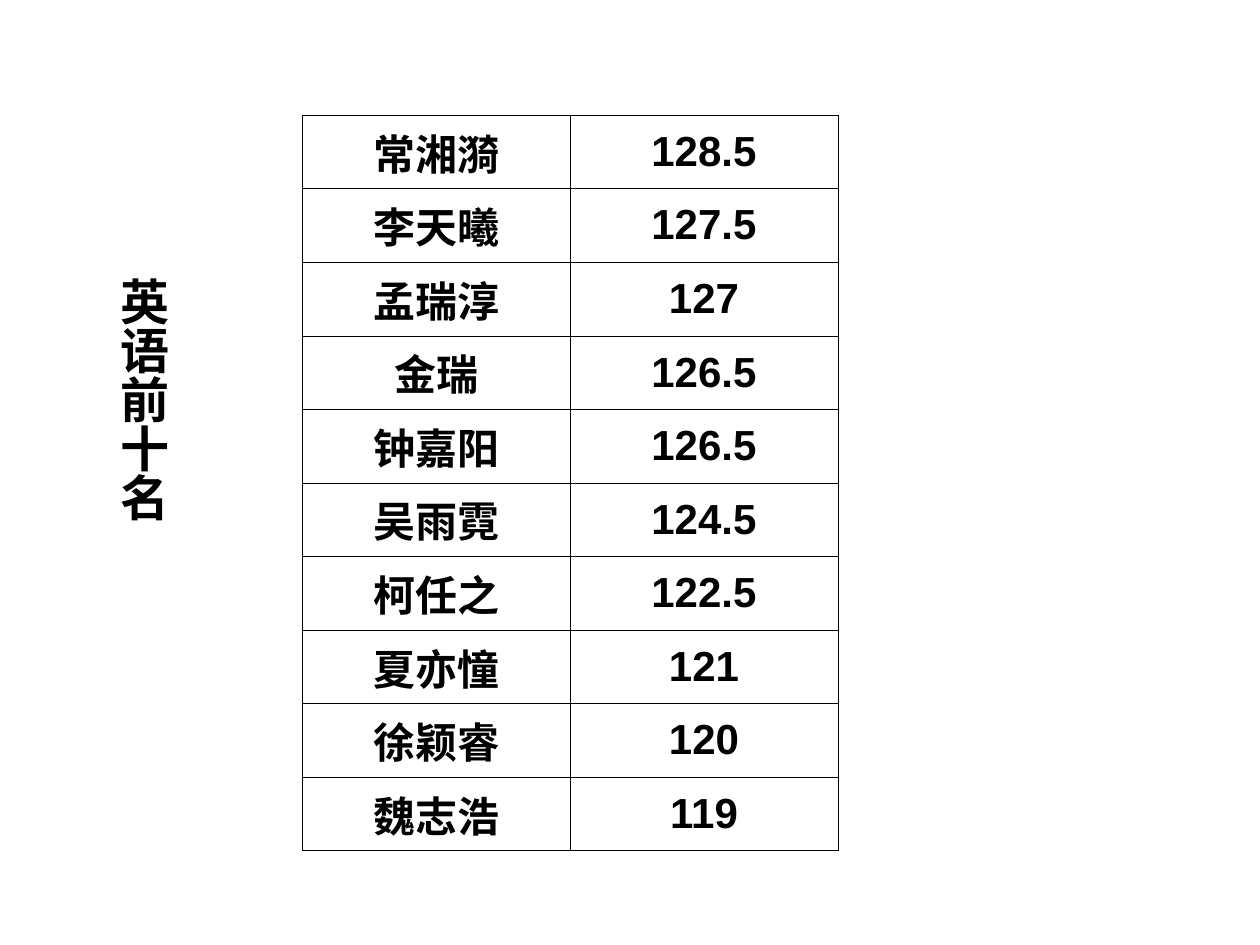
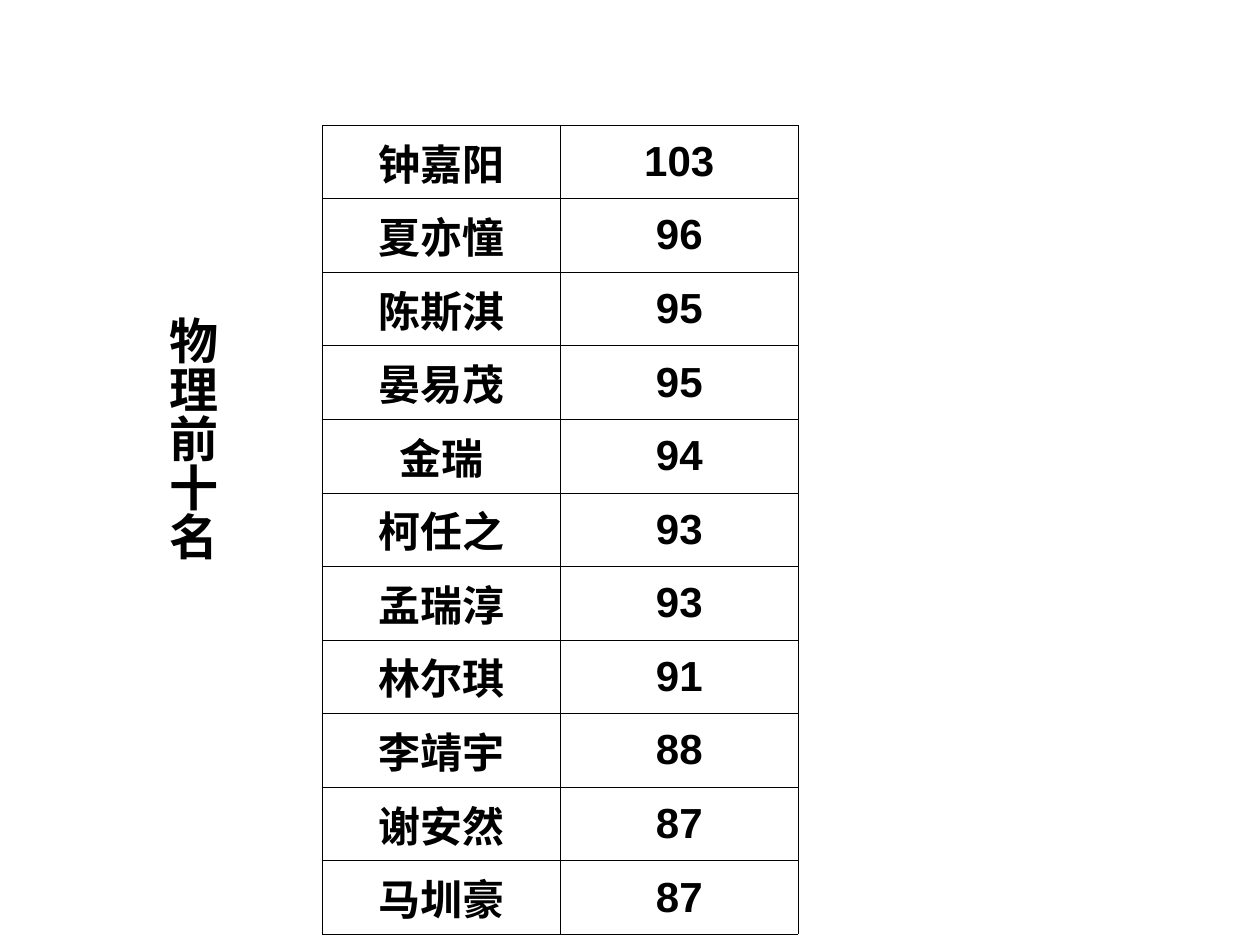
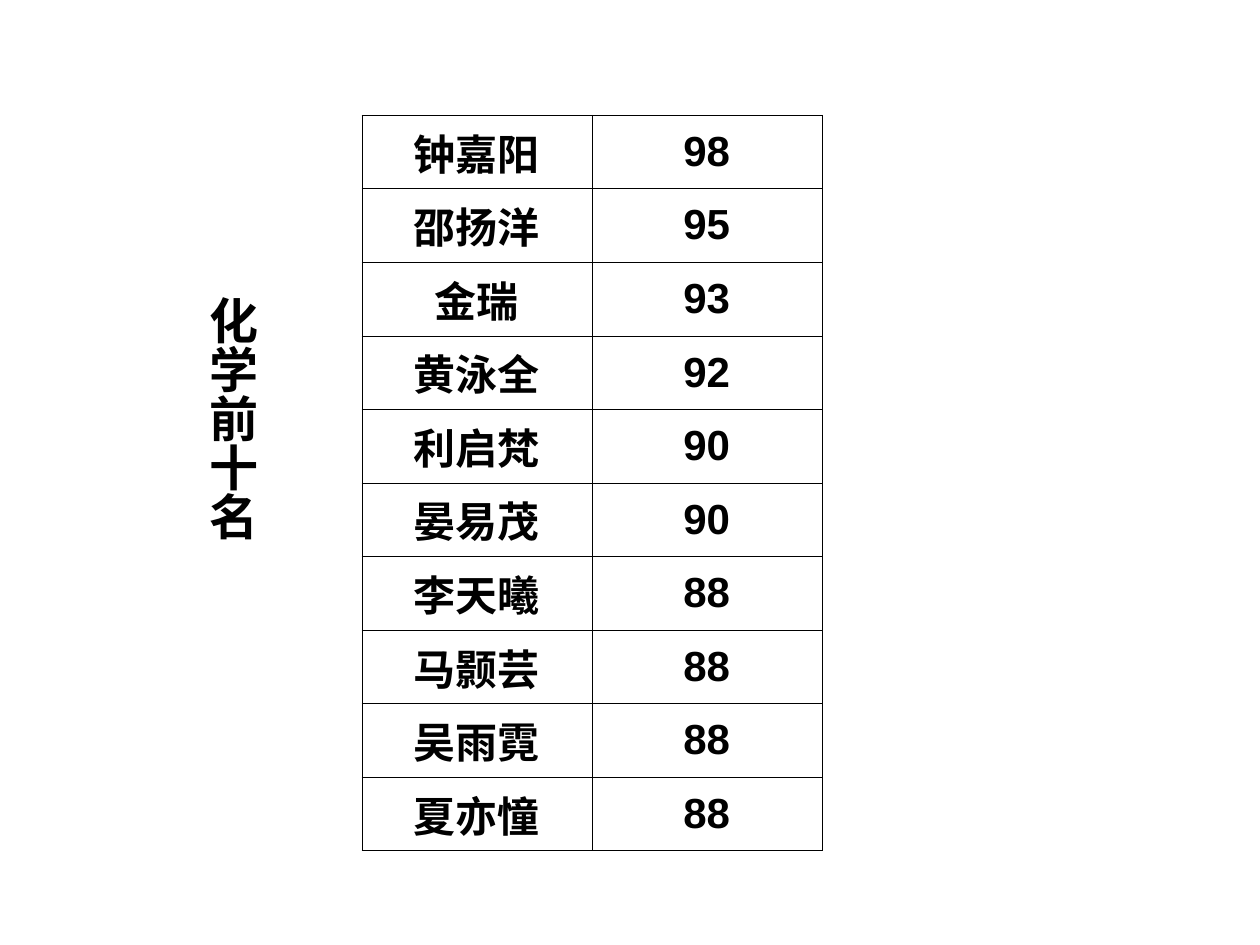
"""Build three slides that list the top students in English, physics and chemistry."""
from lxml import etree
from pptx import Presentation
from pptx.dml.color import RGBColor
from pptx.enum.text import MSO_ANCHOR, MSO_AUTO_SIZE, PP_ALIGN
from pptx.oxml.ns import qn
from pptx.util import Pt

TOP = MSO_ANCHOR.TOP
MIDDLE = MSO_ANCHOR.MIDDLE
LEFT = PP_ALIGN.LEFT
CENTER = PP_ALIGN.CENTER
GROW = MSO_AUTO_SIZE.SHAPE_TO_FIT_TEXT
TITLE_ONLY = 5

COLORS = {"text": "000000", "border": "000000", "background": "FFFFFF"}
TITLE_FONT, TITLE_SIZE = "Times New Roman", 28
CELL_FONT, CELL_SIZE = "Arial", 24
TITLE_WIDTH, TITLE_HEIGHT = 47.5, 164
BORDER_WIDTH = 0.23

RANKINGS = [
    {
        "title": "英语前十名", "title_at": (54.7, 151.2),
        "table_at": (172.8, 65.7), "column_width": 153, "row_height": 41.4,
        "scores": [
            ("常湘漪", "128.5"), ("李天曦", "127.5"), ("孟瑞淳", "127"),
            ("金瑞", "126.5"), ("钟嘉阳", "126.5"), ("吴雨霓", "124.5"),
            ("柯任之", "122.5"), ("夏亦憧", "121"), ("徐颖睿", "120"),
            ("魏志浩", "119"),
        ],
    },
    {
        "title": "物理前十名", "title_at": (83, 173.7),
        "table_at": (184.2, 71.4), "column_width": 136, "row_height": 36.6,
        "scores": [
            ("钟嘉阳", "103"), ("夏亦憧", "96"), ("陈斯淇", "95"),
            ("晏易茂", "95"), ("金瑞", "94"), ("柯任之", "93"),
            ("孟瑞淳", "93"), ("林尔琪", "91"), ("李靖宇", "88"),
            ("谢安然", "87"), ("马圳豪", "87"),
        ],
    },
    {
        "title": "化学前十名", "title_at": (105.8, 162.2),
        "table_at": (206.8, 65.7), "column_width": 131.4, "row_height": 41.7,
        "scores": [
            ("钟嘉阳", "98"), ("邵扬洋", "95"), ("金瑞", "93"),
            ("黄泳全", "92"), ("利启梵", "90"), ("晏易茂", "90"),
            ("李天曦", "88"), ("马颢芸", "88"), ("吴雨霓", "88"),
            ("夏亦憧", "88"),
        ],
    },
]


def add_bold_text(para, text, font_name, size, alignment):
    para.alignment = alignment
    span = para.add_run()
    span.text = text
    span.font.name = font_name
    span.font.size = Pt(size)
    span.font.bold = True
    span.font.color.rgb = RGBColor.from_string(COLORS["text"])


def add_borders(cell):
    properties = cell._tc.get_or_add_tcPr()
    for side in ("lnL", "lnR", "lnT", "lnB"):
        line = etree.SubElement(properties, qn(f"a:{side}"), w=str(Pt(BORDER_WIDTH)))
        fill = etree.SubElement(line, qn("a:solidFill"))
        etree.SubElement(fill, qn("a:srgbClr"), val=COLORS["border"])


deck = Presentation()
deck.slide_width = Pt(720)
deck.slide_height = Pt(540)
background = deck.slide_master.background.fill
background.solid()
background.fore_color.rgb = RGBColor.from_string(COLORS["background"])

for ranking in RANKINGS:
    page = deck.slides.add_slide(deck.slide_layouts[TITLE_ONLY])

    title = page.shapes.title
    title.left, title.top = [Pt(value) for value in ranking["title_at"]]
    title.width, title.height = Pt(TITLE_WIDTH), Pt(TITLE_HEIGHT)
    frame = title.text_frame
    frame.margin_left = frame.margin_right = Pt(3.6)
    frame.margin_top = frame.margin_bottom = Pt(7.2)
    frame.vertical_anchor = TOP
    frame.word_wrap = True
    frame.auto_size = GROW
    frame._txBody.bodyPr.set("vert", "eaVert")
    add_bold_text(frame.paragraphs[0], ranking["title"], TITLE_FONT, TITLE_SIZE, LEFT)

    scores = ranking["scores"]
    left, top = ranking["table_at"]
    width = 2 * ranking["column_width"]
    height = len(scores) * ranking["row_height"]
    table = page.shapes.add_table(
        len(scores), 2, Pt(left), Pt(top), Pt(width), Pt(height)
    ).table
    table.first_row = False
    table.horz_banding = False
    for row_index, entry in enumerate(scores):
        for column_index, text in enumerate(entry):
            cell = table.cell(row_index, column_index)
            cell.margin_left = cell.margin_right = Pt(0.7)
            cell.margin_top = cell.margin_bottom = Pt(3.6)
            cell.vertical_anchor = MIDDLE
            add_borders(cell)
            cell.fill.background()
            para = cell.text_frame.paragraphs[0]
            add_bold_text(para, text, CELL_FONT, CELL_SIZE, CENTER)

deck.save("out.pptx")
